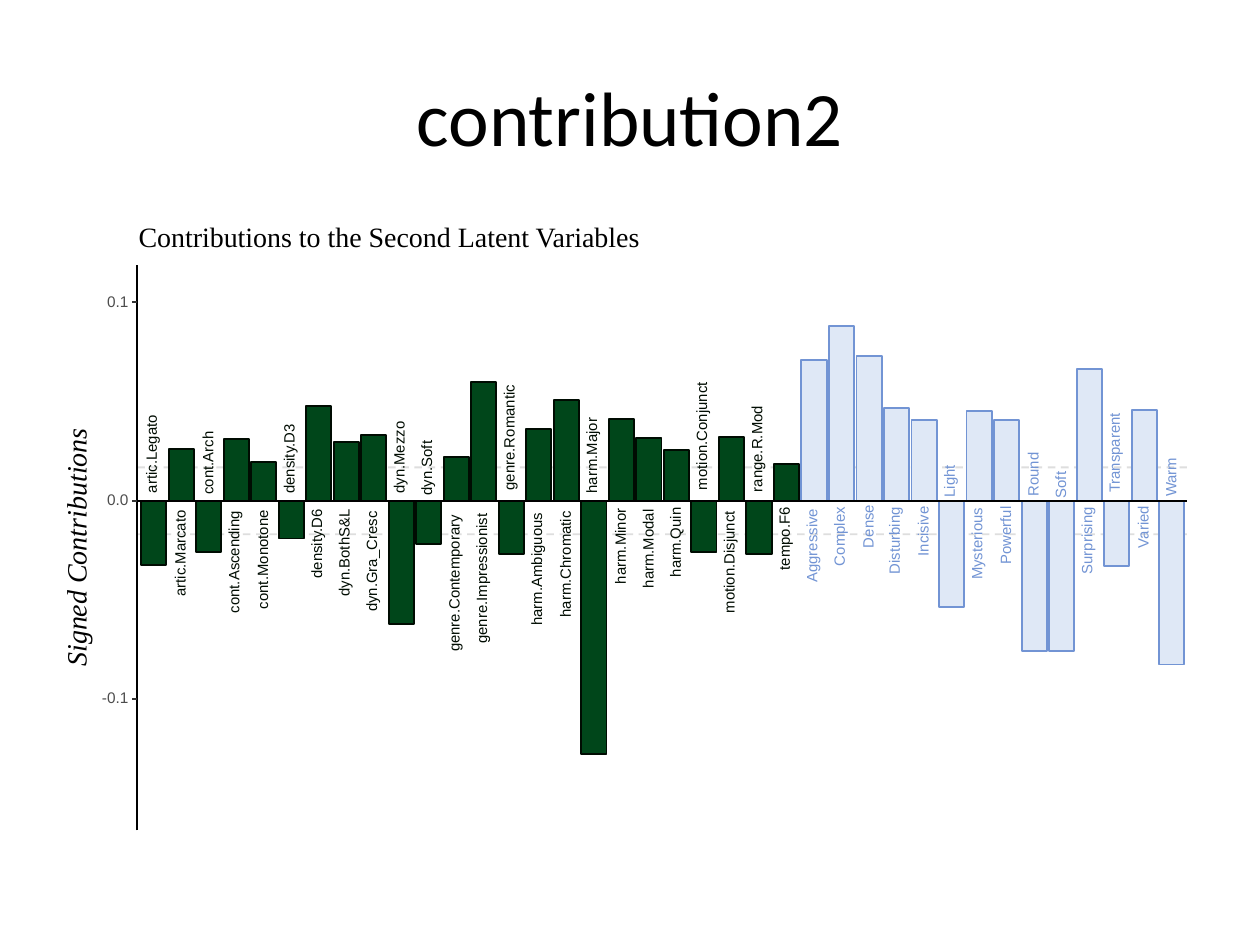
import dataclasses
import pptx
import pptx.util
import pptx.dml.color
import pptx.enum.dml
import pptx.enum.shapes
import pptx.enum.text
import pptx.oxml

Inches, Pt = pptx.util.Inches, pptx.util.Pt
RGBColor = pptx.dml.color.RGBColor
Align = pptx.enum.text.PP_ALIGN

BLACK = RGBColor(0, 0, 0)
WHITE = RGBColor(255, 255, 255)
GREEN = RGBColor(0x00, 0x46, 0x1A)
DARK = RGBColor(0x00, 0x0C, 0x02)
PALE = RGBColor(0xDF, 0xE8, 0xF6)
BLUE = RGBColor(0x72, 0x94, 0xD4)
GREY = RGBColor(0xBE, 0xBE, 0xBE)
SLATE = RGBColor(0x4D, 0x4D, 0x4D)
TICK = RGBColor(0x33, 0x33, 0x33)

# Axis geometry in inches
LEFT, RIGHT = 1.09, 9.42
HIGH, LOW = 2.4, 5.55  # places of 0.1 and -0.1
ZERO = (HIGH + LOW) / 2
FIRST, LAST, WIDTH = 1.12, 9.2, 0.2
LINE = 1.07
SLACK = 0.02  # spare width that keeps a label on one line


@dataclasses.dataclass
class Bar:
    name: str
    rise: float  # signed height
    span: float  # length of the label


MUSIC = [
    Bar("artic.Legato", -0.51, 0.62), Bar("artic.Marcato", 0.41, 0.69),
    Bar("cont.Arch", -0.41, 0.5), Bar("cont.Ascending", 0.49, 0.81),
    Bar("cont.Monotone", 0.31, 0.78), Bar("density.D3", -0.3, 0.56),
    Bar("density.D6", 0.75, 0.56), Bar("dyn.BothS&L", 0.47, 0.69),
    Bar("dyn.Gra_Cresc", 0.52, 0.8), Bar("dyn.Mezzo", -0.98, 0.57),
    Bar("dyn.Soft", -0.34, 0.43), Bar("genre.Contemporary", 0.35, 1.09),
    Bar("genre.Impressionist", 0.94, 1.03), Bar("genre.Romantic", -0.42, 0.84),
    Bar("harm.Ambiguous", 0.57, 0.9), Bar("harm.Chromatic", 0.8, 0.84),
    Bar("harm.Major", -2.01, 0.6), Bar("harm.Minor", 0.65, 0.6),
    Bar("harm.Modal", 0.5, 0.63), Bar("harm.Quin", 0.4, 0.55),
    Bar("motion.Conjunct", -0.41, 0.86), Bar("motion.Disjunct", 0.51, 0.81),
    Bar("range.R.Mod", -0.42, 0.69), Bar("tempo.F6", 0.29, 0.5),
]
MOOD = [
    Bar("Aggressive", 1.12, 0.59), Bar("Complex", 1.39, 0.47),
    Bar("Dense", 1.15, 0.34), Bar("Disturbing", 0.74, 0.53),
    Bar("Incisive", 0.64, 0.4), Bar("Light", -0.84, 0.26),
    Bar("Mysterious", 0.71, 0.57), Bar("Powerful", 0.64, 0.46),
    Bar("Round", -1.19, 0.35), Bar("Soft", -1.19, 0.21),
    Bar("Surprising", 1.05, 0.53), Bar("Transparent", -0.52, 0.64),
    Bar("Varied", 0.72, 0.34), Bar("Warm", -1.3, 0.32),
]
BARS = MUSIC + MOOD
STEP = (LAST - FIRST) / (len(BARS) - 1)

deck = pptx.Presentation()
deck.slide_width, deck.slide_height = Inches(10), Inches(7.5)
slide = deck.slides.add_slide(deck.slide_layouts[6])


def write(shapes, text: str, x: float, y: float, w: float, h: float, *,
          size: float, color=BLACK, font="Arial", italic=False,
          turn=0, align=None, tight=True) -> None:
    """Place text in a box centred on x, y."""
    if tight:
        w += SLACK
    box = shapes.add_textbox(Inches(x - w / 2), Inches(y - h / 2), Inches(w), Inches(h))
    box.rotation = turn
    frame = box.text_frame
    frame.word_wrap = not tight
    frame.vertical_anchor = pptx.enum.text.MSO_ANCHOR.MIDDLE
    para = frame.paragraphs[0]
    if align is not None:
        para.alignment = align
    if tight:
        frame.margin_left = frame.margin_right = 0
        frame.margin_top = frame.margin_bottom = 0
        para.line_spacing = Pt(size)
    run = para.add_run()
    run.text = text
    run.font.size, run.font.name = Pt(size), font
    run.font.italic = italic
    run.font.color.rgb = color


def block(shapes, x: float, y: float, w: float, h: float, fill, edge) -> None:
    rect = shapes.add_shape(pptx.enum.shapes.MSO_SHAPE.RECTANGLE,
                            Inches(x), Inches(y), Inches(w), Inches(h))
    rect.shadow.inherit = False
    rect.fill.solid()
    rect.fill.fore_color.rgb = fill
    rect.line.color.rgb = edge
    rect.line.width = Pt(LINE)


def rule(shapes, x: float, y: float, x2: float, y2: float, color, dash=False) -> None:
    line = shapes.add_connector(pptx.enum.shapes.MSO_CONNECTOR.STRAIGHT,
                                Inches(x), Inches(y), Inches(x2), Inches(y2))
    line.line.color.rgb = color
    line.line.width = Pt(LINE)
    if dash:
        line.line.dash_style = pptx.enum.dml.MSO_LINE.DASH
        tint = line.line.fill.fore_color._xFill[0]
        tint.append(pptx.oxml.parse_xml(
            '<a:alpha xmlns:a="http://schemas.openxmlformats.org/drawingml/2006/main" val="50000"/>'))
    line._element.spPr.append(pptx.oxml.parse_xml(
        '<a:effectLst xmlns:a="http://schemas.openxmlformats.org/drawingml/2006/main"/>'))


# Title
write(slide.shapes, "contribution2", 5, 0.92, 9, 1.25, size=44,
      font="Calibri", align=Align.CENTER, tight=False)

# Panel and threshold lines
plot = slide.shapes.add_group_shape().shapes
block(plot, 0.5, 1.75, 9, 4.95, WHITE, WHITE)
for y in (3.71, 4.24):
    rule(plot, LEFT, y, RIGHT, y, GREY, dash=True)

# Bars
for i, bar in enumerate(BARS):
    fill, edge = (GREEN, DARK) if i < len(MUSIC) else (PALE, BLUE)
    block(plot, FIRST + i * STEP, ZERO - max(bar.rise, 0), WIDTH, abs(bar.rise), fill, edge)

# Labels, each on the far side of the zero line from its bar
for i, bar in enumerate(BARS):
    deep = any(c in "gjpqy" for c in bar.name)
    mid = FIRST + i * STEP + WIDTH / 2 - (0.01 if deep else 0)
    side = 1 if bar.rise > 0 else -1
    write(plot, bar.name, mid, ZERO + side * 0.6 * bar.span - SLACK / 2,
          bar.span, 0.11 if deep else 0.09, size=8.5, turn=270,
          color=DARK if i < len(MUSIC) else BLUE)

# Axes and ticks
rule(plot, LEFT, ZERO, RIGHT, ZERO, BLACK)
rule(plot, LEFT, 6.59, LEFT, 2.1, BLACK)
for y, text, w in ((LOW, "-0.1", 0.21), (ZERO, "0.0", 0.17), (HIGH, "0.1", 0.17)):
    write(plot, text, 1.03 - w / 2, y, w, 0.09, size=8.8, color=SLATE)
    rule(plot, 1.05, y, LEFT, y, TICK)

# Axis title and heading
write(plot, "Signed Contributions", 0.62, 4.33, 1.9, 0.2, size=16,
      font="Times New Roman", italic=True, turn=270)
write(plot, "Contributions to the Second Latent Variables", 3.12, 1.9, 4.02, 0.16,
      size=16, font="Times New Roman")

deck.save("out.pptx")
